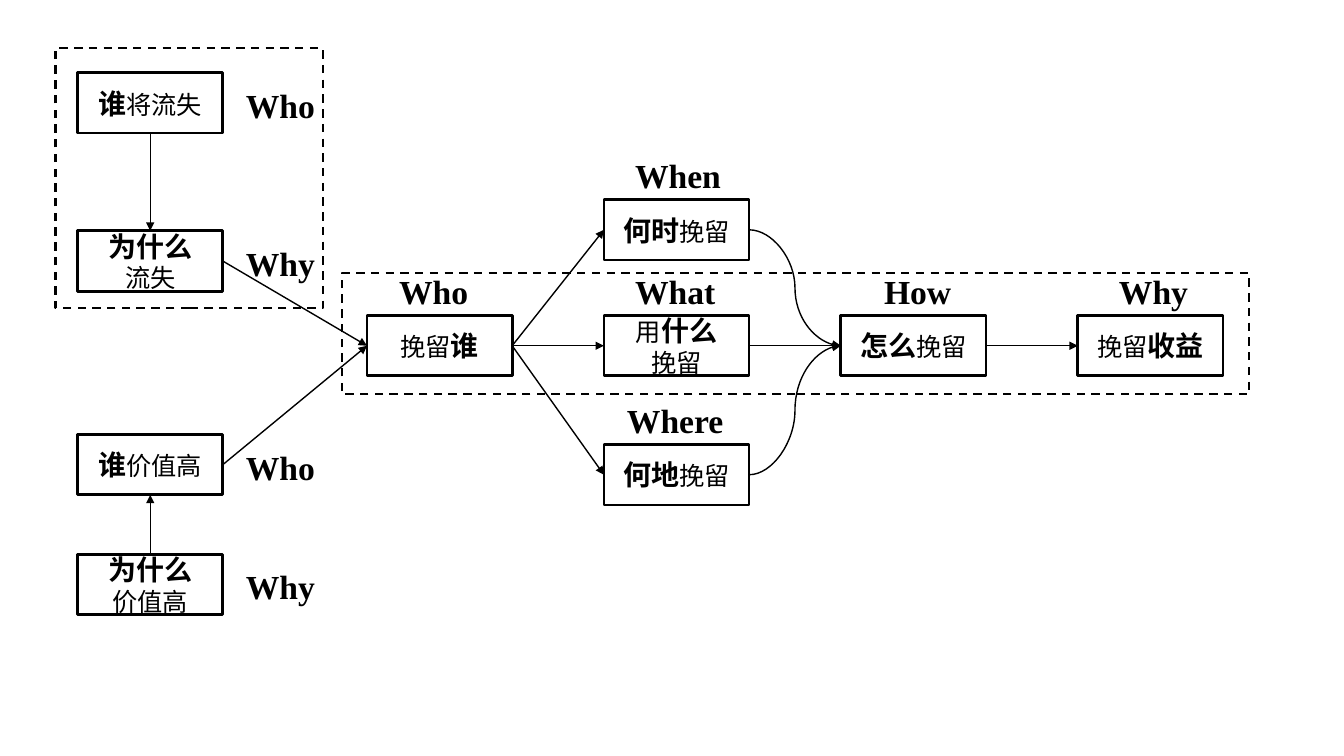
from lxml.etree import SubElement
from pptx import Presentation
from pptx.dml.color import RGBColor
from pptx.enum.dml import MSO_LINE
from pptx.enum.shapes import MSO_CONNECTOR, MSO_SHAPE
from pptx.enum.text import MSO_ANCHOR, PP_ALIGN
from pptx.oxml.ns import qn
from pptx.util import Inches, Pt

THEME = {
    "font": "Times New Roman", "ink": RGBColor(0, 0, 0),
    "plain": 18, "strong": 20, "label": 24,
    "box_line": 2, "frame_line": 1.5, "arrow_line": 1,
}
BOX_WIDTH, BOX_HEIGHT = 1.44, 0.6
COLUMNS = [0.77] + [3.64 + 2.35 * step for step in range(4)]
ROWS = {"lost": 0.72, "cause": 2.29, "when": 1.98, "main": 3.13,
        "where": 4.41, "value": 4.31, "worth": 5.5}
BESIDE = (1.57, 0.07)
ABOVE = -0.49

# name: column, row, lines of text (* marks a bold part), label, label offset
STEPS = {
    "lost": (0, "lost", [["*谁", "将流失"]], "Who", BESIDE),
    "cause": (0, "cause", [["*为什么"], ["流失"]], "Why", BESIDE),
    "value": (0, "value", [["*谁", "价值高"]], "Who", BESIDE),
    "worth": (0, "worth", [["*为什么"], ["价值高"]], "Why", BESIDE),
    "whom": (1, "main", [["挽留", "*谁"]], "Who", (0.22, ABOVE)),
    "when": (2, "when", [["*何时", "挽留"]], "When", (0.21, ABOVE)),
    "what": (2, "main", [["用", "*什么"], ["挽留"]], "What", (0.21, ABOVE)),
    "where": (2, "where", [["*何地", "挽留"]], "Where", (0.13, ABOVE)),
    "how": (3, "main", [["*怎么", "挽留"]], "How", (0.33, ABOVE)),
    "gain": (4, "main", [["挽留", "*收益"]], "Why", (0.31, ABOVE)),
}
TOP, LEFT, BOTTOM, RIGHT = range(4)
STRAIGHT, CURVE = MSO_CONNECTOR.STRAIGHT, MSO_CONNECTOR.CURVE
ARROWS = [
    ("lost", BOTTOM, "cause", TOP, STRAIGHT),
    ("cause", RIGHT, "whom", LEFT, STRAIGHT),
    ("value", RIGHT, "whom", LEFT, STRAIGHT),
    ("worth", TOP, "value", BOTTOM, STRAIGHT),
    ("whom", RIGHT, "when", LEFT, STRAIGHT),
    ("whom", RIGHT, "what", LEFT, STRAIGHT),
    ("whom", RIGHT, "where", LEFT, STRAIGHT),
    ("what", RIGHT, "how", LEFT, CURVE),
    ("where", RIGHT, "how", LEFT, CURVE),
    ("when", RIGHT, "how", LEFT, CURVE),
    ("how", RIGHT, "gain", LEFT, STRAIGHT),
]
FRAMES = [(3.39, 2.71, 9, 1.2), (0.55, 0.48, 2.65, 2.58)]

deck = Presentation()
deck.slide_width, deck.slide_height = Inches(13.33), Inches(7.5)
page = deck.slides.add_slide(deck.slide_layouts[6])


def add_outline(left, top, width, height, weight):
    box = page.shapes.add_shape(MSO_SHAPE.RECTANGLE, *map(Inches, (left, top, width, height)))
    box.shadow.inherit = False
    box.fill.background()
    box.line.color.rgb = THEME["ink"]
    box.line.width = Pt(weight)
    return box


def add_span(para, text, size, bold):
    span = para.add_run()
    span.text = text
    span.font.color.rgb = THEME["ink"]
    for name, value in {"name": THEME["font"], "size": Pt(size), "bold": bold}.items():
        setattr(span.font, name, value)


boxes = {}
for name, (column, row, lines, label, (shift, drop)) in STEPS.items():
    left, top = COLUMNS[column], ROWS[row]
    box = boxes[name] = add_outline(left, top, BOX_WIDTH, BOX_HEIGHT, THEME["box_line"])
    frame = box.text_frame
    frame_format = {"margin_left": 0, "margin_right": 0, "margin_top": 0, "margin_bottom": 0,
                    "word_wrap": True, "vertical_anchor": MSO_ANCHOR.MIDDLE}
    for key, value in frame_format.items():
        setattr(frame, key, value)
    for index, parts in enumerate(lines):
        para = frame.add_paragraph() if index else frame.paragraphs[0]
        para.alignment = PP_ALIGN.CENTER
        for part in parts:
            bold = part.startswith("*")
            add_span(para, part.lstrip("*"), THEME["strong" if bold else "plain"], bold)

    label_width = 1.2 if len(label) > 3 else 1
    label_box = page.shapes.add_textbox(
        *map(Inches, (left + shift, top + drop, label_width, 0.5)))
    label_box.text_frame.word_wrap = True
    add_span(label_box.text_frame.paragraphs[0], label, THEME["label"], True)

for start, start_side, end, end_side, kind in ARROWS:
    arrow = page.shapes.add_connector(kind, 0, 0, 0, 0)
    arrow.begin_connect(boxes[start], start_side)
    arrow.end_connect(boxes[end], end_side)
    arrow.line.color.rgb = THEME["ink"]
    arrow.line.width = Pt(THEME["arrow_line"])
    SubElement(arrow.line._get_or_add_ln(), qn("a:tailEnd"), type="triangle")
    SubElement(arrow._element.spPr, qn("a:effectLst"))

for place in FRAMES:
    add_outline(*place, THEME["frame_line"]).line.dash_style = MSO_LINE.DASH

deck.save("out.pptx")
